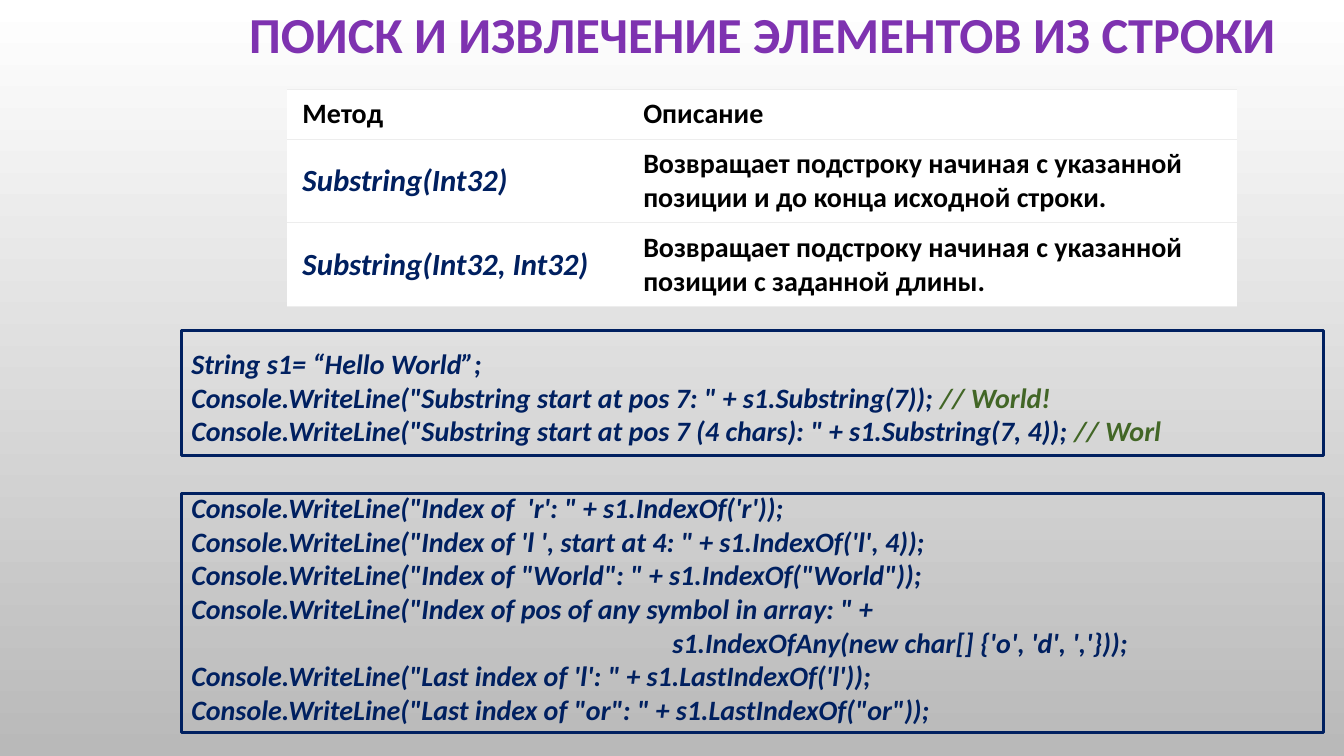
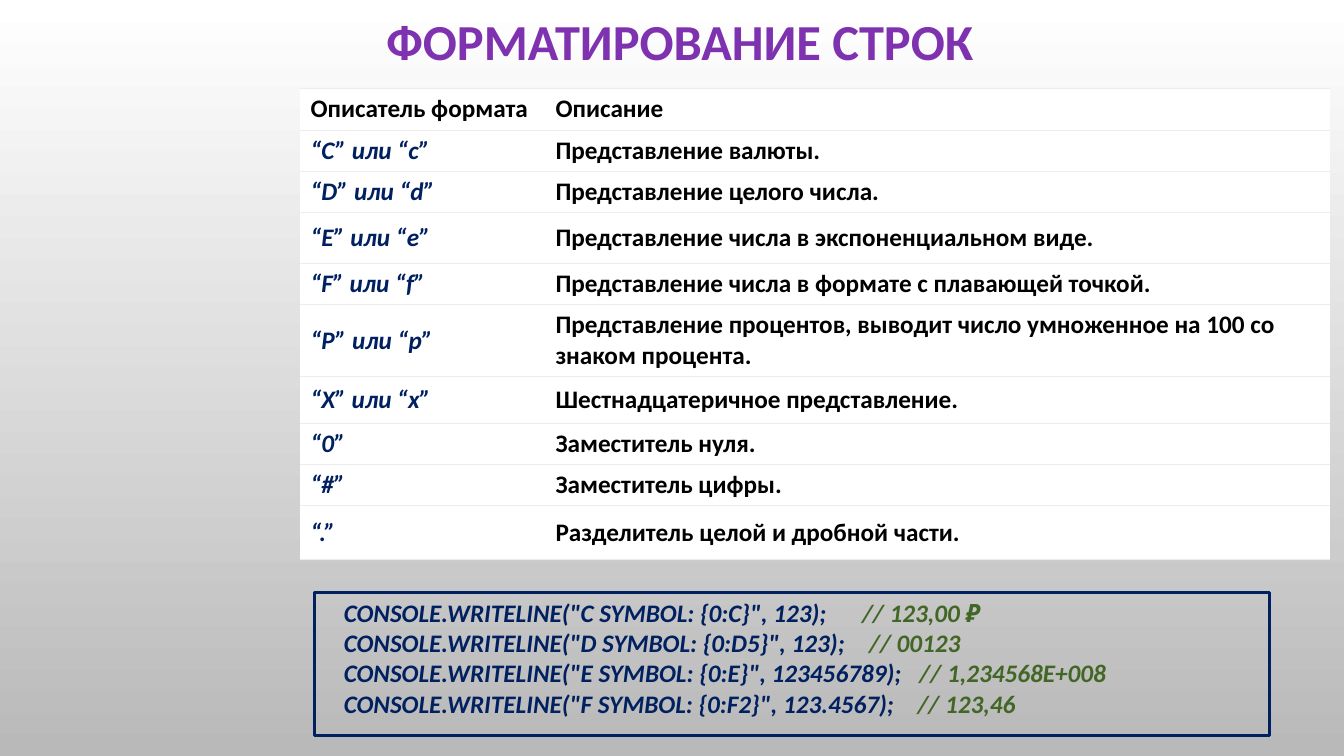
"""Build two slides about searching and formatting strings."""
from lxml.etree import SubElement
from pptx import Presentation
from pptx.dml.color import RGBColor
from pptx.enum.shapes import MSO_SHAPE as Shape
from pptx.enum.text import MSO_ANCHOR as Anchor, PP_ALIGN as Align
from pptx.oxml import parse_xml
from pptx.oxml.ns import nsdecls, qn
from pptx.util import Inches, Pt

FONT = "Calibri"
PURPLE, NAVY, GREEN = "7E32B0", "002060", "426626"
BLACK, WHITE, GRAY, RULE = "000000", "FFFFFF", "B9B9B9", "EDEDED"
NO_STYLE = "{2D5ABB26-0587-4C30-8999-92F81FD0307C}"

# Each code line: code, comment, left indent, tab stop before the comment
SLIDES = [
    {
        "title": ("ПОИСК И ИЗВЛЕЧЕНИЕ ЭЛЕМЕНТОВ ИЗ СТРОКИ", 1.9, 0.74),
        "table": {
            "at": (2.85, 0.89), "columns": (3.38, 6.04), "margins": (0.15, 0.07),
            "size": 20, "name_size": 22,
            "rows": [
                (0.49, "Метод", "Описание"),
                (0.83, "Substring(Int32)",
                 "Возвращает подстроку начиная с указанной позиции и до конца исходной строки."),
                (0.83, "Substring(Int32, Int32)",
                 "Возвращает подстроку начиная с указанной позиции с заданной длины."),
            ],
        },
        "code": [
            {
                "at": (1.8, 3.28, 11.33, 1.24), "insets": (0.1, 0.16, 0.08), "size": 20,
                "lines": [
                    ("String s1= “Hello World”;", "", 0, 0),
                    ('Console.WriteLine("Substring start at pos 7: " + s1.Substring(7)); ',
                     "// World!", 0, 0),
                    ('Console.WriteLine("Substring start at pos 7 (4 chars): " + s1.Substring(7, 4)); ',
                     "// Worl", 0, 0),
                ],
            },
            {
                "at": (1.8, 4.9, 11.33, 2.37), "insets": (0.1, 0, 0.1), "size": 20,
                "lines": [
                    ("Console.WriteLine(\"Index of  'r': \" + s1.IndexOf('r'));", "", 0, 0),
                    ("Console.WriteLine(\"Index of 'l ', start at 4: \" + s1.IndexOf('l', 4));", "", 0, 0),
                    ('Console.WriteLine("Index of "World": " + s1.IndexOf("World"));', "", 0, 0),
                    ('Console.WriteLine("Index of pos of any symbol in array: " +', "", 0, 0),
                    ("s1.IndexOfAny(new char[] {'o', 'd', ','}));", "", 4.77, 0),
                    ("Console.WriteLine(\"Last index of 'l': \" + s1.LastIndexOf('l'));", "", 0, 0),
                    ('Console.WriteLine("Last index of "or": " + s1.LastIndexOf("or"));', "", 0, 0),
                ],
            },
        ],
    },
    {
        "title": ("ФОРМАТИРОВАНИЕ СТРОК", 1.08, 0.88),
        "table": {
            "at": (2.98, 0.88), "columns": (2.43, 7.78), "margins": (0.1, 0.05),
            "size": 18, "name_size": 18,
            "rows": [
                (0.41, "Описатель формата", "Описание"),
                (0.41, "“C” или “c”", "Представление валюты."),
                (0.41, "“D” или “d”", "Представление целого числа."),
                (0.5, "“E” или “e”", "Представление числа в экспоненциальном виде."),
                (0.41, "“F” или “f”", "Представление числа в формате с плавающей точкой."),
                (0.72, "“P” или “p”",
                 "Представление процентов, выводит число умноженное на 100 со знаком процента."),
                (0.46, "“X” или “x”", "Шестнадцатеричное представление."),
                (0.41, "“0”", "Заместитель нуля."),
                (0.41, "“#”", "Заместитель цифры."),
                (0.53, "“.”", "Разделитель целой и дробной части."),
            ],
        },
        "code": [
            {
                "at": (3.12, 5.88, 9.47, 1.42), "insets": (0.29, 0.05, 0.18), "size": 18,
                "lines": [
                    ('CONSOLE.WRITELINE("C SYMBOL: {0:C}", 123);', "// 123,00 ₽", 0, 5.14),
                    ('CONSOLE.WRITELINE("D SYMBOL: {0:D5}", 123);', "// 00123", 0, 5.21),
                    ('CONSOLE.WRITELINE("E SYMBOL: {0:E}", 123456789);', "// 1,234568E+008", 0, 5.71),
                    ('CONSOLE.WRITELINE("F SYMBOL: {0:F2}", 123.4567);', "// 123,46", 0, 5.69),
                ],
            },
        ],
    },
]


def color(value):
    return RGBColor.from_string(value)


def set_font(font, size, value, italic=False):
    font.name, font.size, font.bold, font.italic = FONT, Pt(size), True, italic
    font.color.rgb = color(value)


def set_background(master):
    fill = master.background.fill
    fill.gradient()
    fill.gradient_angle = 270
    for stop, value in zip(fill.gradient_stops, (WHITE, GRAY)):
        stop.color.rgb = color(value)


def add_title(slide, text, left, height):
    frame = slide.shapes.add_textbox(Inches(left), 0, Inches(11.33), Inches(height)).text_frame
    frame.word_wrap = True
    frame.vertical_anchor = Anchor.MIDDLE
    paragraph = frame.paragraphs[0]
    paragraph.text = text
    paragraph.alignment = Align.CENTER
    paragraph.line_spacing = 0.9
    set_font(paragraph.font, 36, PURPLE)


def add_rules(cell):
    properties = cell._tc.get_or_add_tcPr()
    for edge in ("lnB", "lnT"):
        properties.insert(0, parse_xml(
            f'<a:{edge} {nsdecls("a")} w="{Pt(0.75)}"><a:solidFill>'
            f'<a:srgbClr val="{RULE}"/></a:solidFill></a:{edge}>'))


def add_method_table(slide, at, columns, margins, size, name_size, rows):
    width, height = sum(columns), sum(row[0] for row in rows)
    table = slide.shapes.add_table(
        len(rows), len(columns), *map(Inches, (*at, width, height))).table
    table.first_row = table.horz_banding = False
    table._tbl.tblPr.find(qn("a:tableStyleId")).text = NO_STYLE
    for column, column_width in zip(table.columns, columns):
        column.width = Inches(column_width)
    for row_index, (row_height, *texts) in enumerate(rows):
        table.rows[row_index].height = Inches(row_height)
        for column_index, text in enumerate(texts):
            cell = table.cell(row_index, column_index)
            add_rules(cell)
            cell.fill.solid()
            cell.fill.fore_color.rgb = color(WHITE)
            cell.vertical_anchor = Anchor.MIDDLE
            cell.margin_left = cell.margin_right = Inches(margins[0])
            cell.margin_top = cell.margin_bottom = Inches(margins[1])
            cell.text = text
            is_name = row_index > 0 and column_index == 0
            set_font(cell.text_frame.paragraphs[0].font, name_size if is_name else size,
                     NAVY if is_name else BLACK, is_name)


def add_code_line(paragraph, size, code, comment, indent, tab):
    paragraph.alignment = Align.LEFT
    set_font(paragraph.font, size, NAVY, True)
    properties = paragraph._p.get_or_add_pPr()
    if indent:
        properties.set("marL", str(Inches(indent)))
    if tab:
        stops = parse_xml(f'<a:tabLst {nsdecls("a")}/>')
        SubElement(stops, qn("a:tab"), pos=str(Inches(tab)), algn="l")
        properties.insert(0, stops)
    for text, value in ((code + ("\t" if tab else ""), NAVY), (comment, GREEN)):
        if text:
            run = paragraph.add_run()
            run.text = text
            set_font(run.font, size, value, True)


def add_code_box(slide, at, insets, size, lines):
    box = slide.shapes.add_shape(Shape.RECTANGLE, *map(Inches, at))
    box.shadow.inherit = False
    box.fill.background()
    box.line.color.rgb = color(NAVY)
    box.line.width = Pt(2.25)
    frame = box.text_frame
    frame.word_wrap = True
    frame.vertical_anchor = Anchor.MIDDLE
    frame.margin_left, frame.margin_top, frame.margin_bottom = map(Inches, insets)
    for index, line in enumerate(lines):
        paragraph = frame.add_paragraph() if index else frame.paragraphs[0]
        add_code_line(paragraph, size, *line)


def main():
    presentation = Presentation()
    presentation.slide_width, presentation.slide_height = Inches(13.33), Inches(7.5)
    set_background(presentation.slide_master)
    for content in SLIDES:
        slide = presentation.slides.add_slide(presentation.slide_layouts[6])
        add_method_table(slide, **content["table"])
        add_title(slide, *content["title"])
        for box in content["code"]:
            add_code_box(slide, **box)
    presentation.save("out.pptx")


if __name__ == "__main__":
    main()
